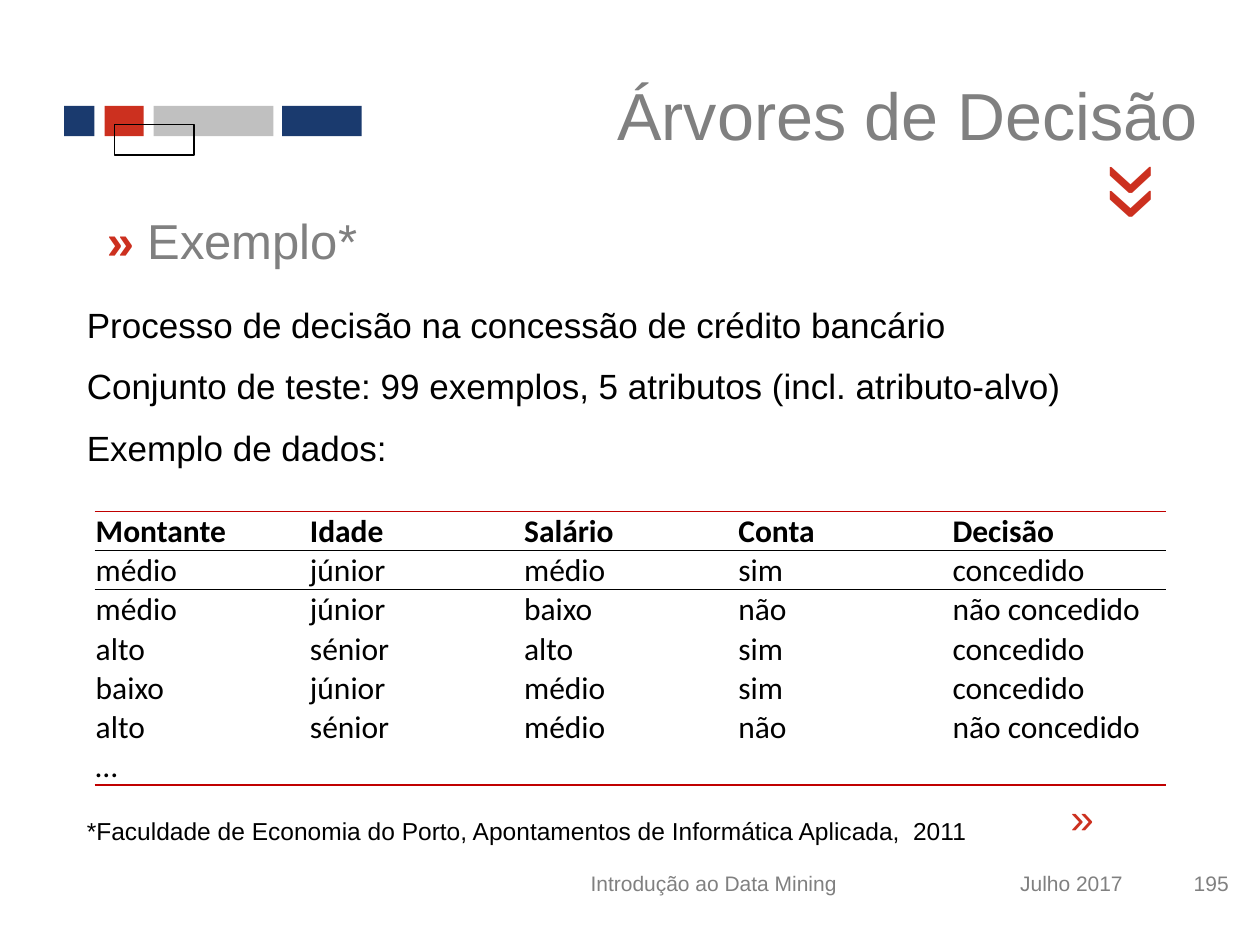
from lxml.etree import SubElement
from pptx import Presentation
from pptx.dml.color import RGBColor
from pptx.enum.shapes import MSO_SHAPE
from pptx.enum.text import MSO_ANCHOR, PP_ALIGN
from pptx.oxml.ns import qn
from pptx.util import Inches, Pt

COLORS = {
    "navy": "1A3A6E", "red": "CC301F", "silver": "C0C0C0", "gray": "808080",
    "black": "000000", "rule": "C00000",
}
PLAIN_TABLE = "{2D5ABB26-0587-4C30-8999-92F81FD0307C}"
BARS = [(0.51, 0.24, "navy"), (0.83, 0.31, "red"), (1.22, 0.95, "silver"), (2.24, 0.63, "navy")]
FOOTERS = [
    ("Julho 2017", 7.2, 1.81, PP_ALIGN.RIGHT),
    ("195", 9.06, 0.79, PP_ALIGN.RIGHT),
    ("Introdução ao Data Mining", 4.13, 3.07, PP_ALIGN.CENTER),
]
STATEMENTS = [
    "Processo de decisão na concessão de crédito bancário",
    "Conjunto de teste: 99 exemplos, 5 atributos (incl. atributo-alvo)",
    "Exemplo de dados:",
]
CREDIT_ROWS = [
    ["Montante", "Idade", "Salário", "Conta", "Decisão"],
    ["médio", "júnior", "médio", "sim", "concedido"],
    ["médio", "júnior", "baixo", "não", "não concedido"],
    ["alto", "sénior", "alto", "sim", "concedido"],
    ["baixo", "júnior", "médio", "sim", "concedido"],
    ["alto", "sénior", "médio", "não", "não concedido"],
    ["…", "", "", "", ""],
]


def color(name):
    return RGBColor.from_string(COLORS[name])


class SlideBuilder:
    """Draws styled elements on the current slide."""

    def __init__(self, page, font="Arial", table_font="Calibri"):
        self.page = page
        self.font = font
        self.table_font = table_font

    def place(self, shape, left, top, width, height):
        shape.left, shape.top = Inches(left), Inches(top)
        shape.width, shape.height = Inches(width), Inches(height)

    def style(self, para, size, shade, font=None, bold=False, align=PP_ALIGN.LEFT):
        para.alignment = align
        para.font.name = font or self.font
        para.font.size = Pt(size)
        para.font.bold = bold
        para.font.color.rgb = color(shade)

    def title(self, text, *place):
        box = self.page.shapes.title
        self.place(box, *place)
        box.text_frame.text = text
        box.text_frame.vertical_anchor = MSO_ANCHOR.MIDDLE
        self.style(box.text_frame.paragraphs[0], 38, "gray", align=PP_ALIGN.RIGHT)

    def bar(self, left, top, width, height, fill=None, line=None):
        bar = self.page.shapes.add_shape(
            MSO_SHAPE.RECTANGLE, Inches(left), Inches(top), Inches(width), Inches(height))
        bar.shadow.inherit = False
        if fill:
            bar.fill.solid()
            bar.fill.fore_color.rgb = color(fill)
        else:
            bar.fill.background()
        if line:
            bar.line.color.rgb = color(line)
            bar.line.width = Pt(0.75)
        else:
            bar.line.fill.background()

    def text(self, lines, place, size, shade, align=PP_ALIGN.LEFT, anchor=MSO_ANCHOR.TOP,
             gap=0, rotation=0, wrap=True):
        box = self.page.shapes.add_textbox(*map(Inches, place))
        box.rotation = rotation
        frame = box.text_frame
        frame.word_wrap = wrap
        frame.vertical_anchor = anchor
        for index, line in enumerate(lines):
            para = frame.add_paragraph() if index else frame.paragraphs[0]
            para.text = line
            if index:
                para.space_before = Pt(gap)
            self.style(para, size, shade, align=align)

    def heading(self, marker, text, *place):
        box = self.page.shapes.add_textbox(*map(Inches, place))
        box.text_frame.word_wrap = True
        para = box.text_frame.paragraphs[0]
        para.font.name, para.font.size = self.font, Pt(28)
        for words, shade, bold in ((marker, "red", True), (text, "gray", False)):
            span = para.add_run()
            span.text = words
            span.font.bold = bold
            span.font.color.rgb = color(shade)

    def border(self, cell, side, shade, width):
        line = SubElement(cell._tc.get_or_add_tcPr(), qn(f"a:ln{side}"), w=str(Pt(width)))
        fill = SubElement(line, qn("a:solidFill"))
        SubElement(fill, qn("a:srgbClr"), val=COLORS[shade])

    def table(self, rows, left, top, width, row_height):
        last = len(rows) - 1
        frame = self.page.shapes.add_table(
            len(rows), len(rows[0]), Inches(left), Inches(top),
            Inches(width), Inches(row_height * len(rows)))
        table = frame.table
        table.first_row = table.horz_banding = False
        table._tbl.tblPr.find(qn("a:tableStyleId")).text = PLAIN_TABLE
        for row, values in enumerate(rows):
            for column, value in enumerate(values):
                cell = table.cell(row, column)
                cell.margin_left = cell.margin_right = cell.margin_top = Inches(0.01)
                cell.margin_bottom = 0
                cell.vertical_anchor = MSO_ANCHOR.BOTTOM
                cell.text = value
                self.style(cell.text_frame.paragraphs[0], 18, "black",
                           font=self.table_font, bold=row == 0)
                if row == 0:
                    self.border(cell, "T", "rule", 1)
                    self.border(cell, "B", "black", 0.5)
                elif row == 1:
                    self.border(cell, "T", "black", 0.5)
                elif row == last:
                    self.border(cell, "B", "rule", 1)
                cell.fill.background()


def main():
    deck = Presentation()
    deck.slide_width, deck.slide_height = Inches(10), Inches(7.5)
    slide = SlideBuilder(deck.slides.add_slide(deck.slide_layouts[5]))

    for left, width, fill in BARS:
        slide.bar(left, 0.84, width, 0.24, fill=fill)
    slide.bar(0.91, 0.99, 0.63, 0.24, line="black")

    slide.title("Árvores de Decisão", 3.19, 0.44, 6.42, 0.93)
    slide.heading("» ", "Exemplo*", 0.75, 1.62, 8.43, 0.57)
    slide.text(["«"], (8.59, 1.03, 0.55, 1.1), 60, "red", rotation=270)
    slide.text(["«"], (8.27, 6.32, 0.51, 0.5), 24, "red", rotation=180)

    slide.text(STATEMENTS, (0.59, 2.36, 8.82, 1.45), 20, "black",
               align=PP_ALIGN.JUSTIFY, gap=11)
    slide.table(CREDIT_ROWS, 0.75, 4.06, 8.5, 0.31)
    slide.text(["*Faculdade de Economia do Porto, Apontamentos de Informática Aplicada,  2011"],
               (0.59, 6.43, 7.22, 0.34), 14, "black", wrap=False)

    for words, left, width, align in FOOTERS:
        slide.text([words], (left, 6.73, width, 0.55), 12, "gray",
                   align=align, anchor=MSO_ANCHOR.MIDDLE)

    deck.save("out.pptx")


if __name__ == "__main__":
    main()
